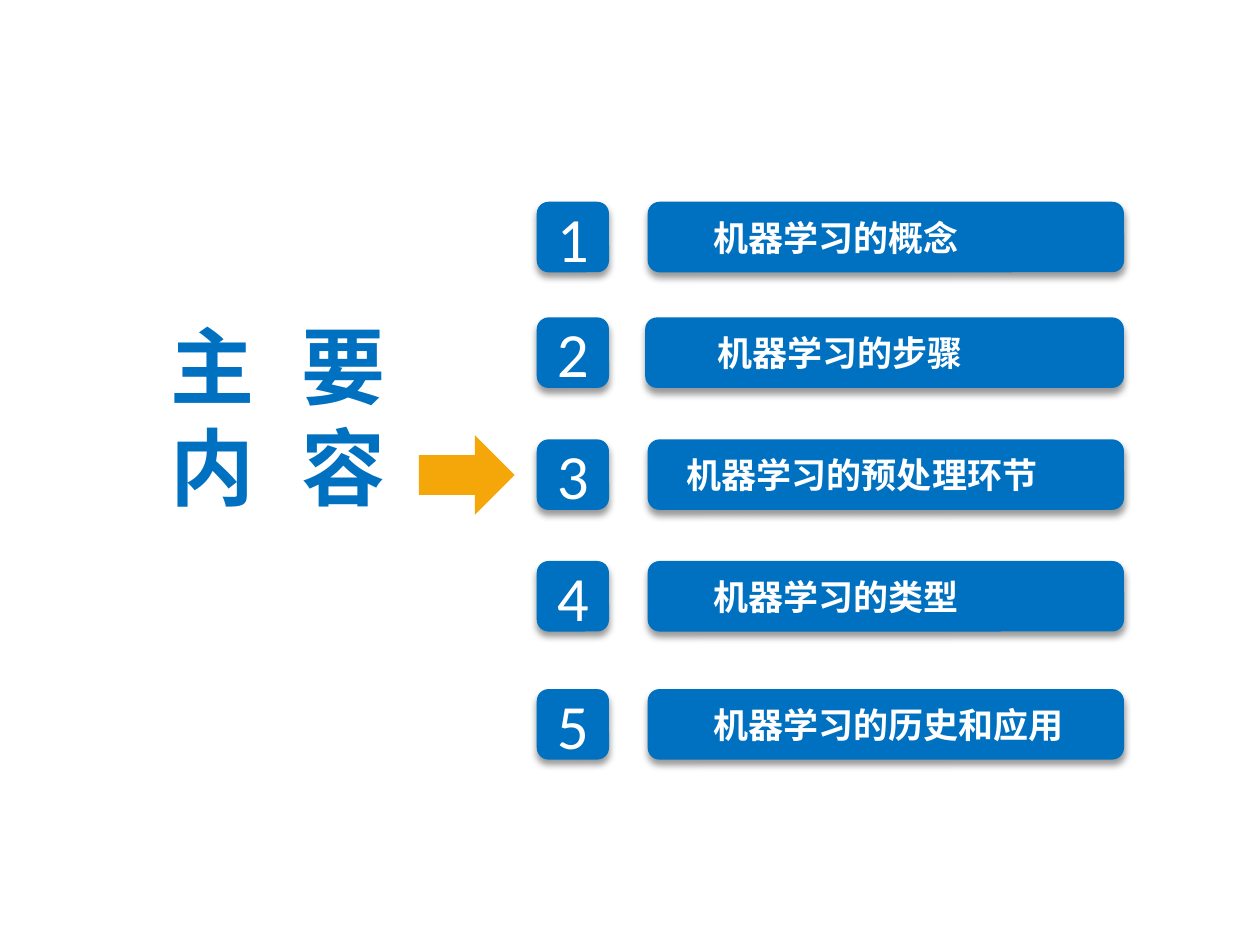
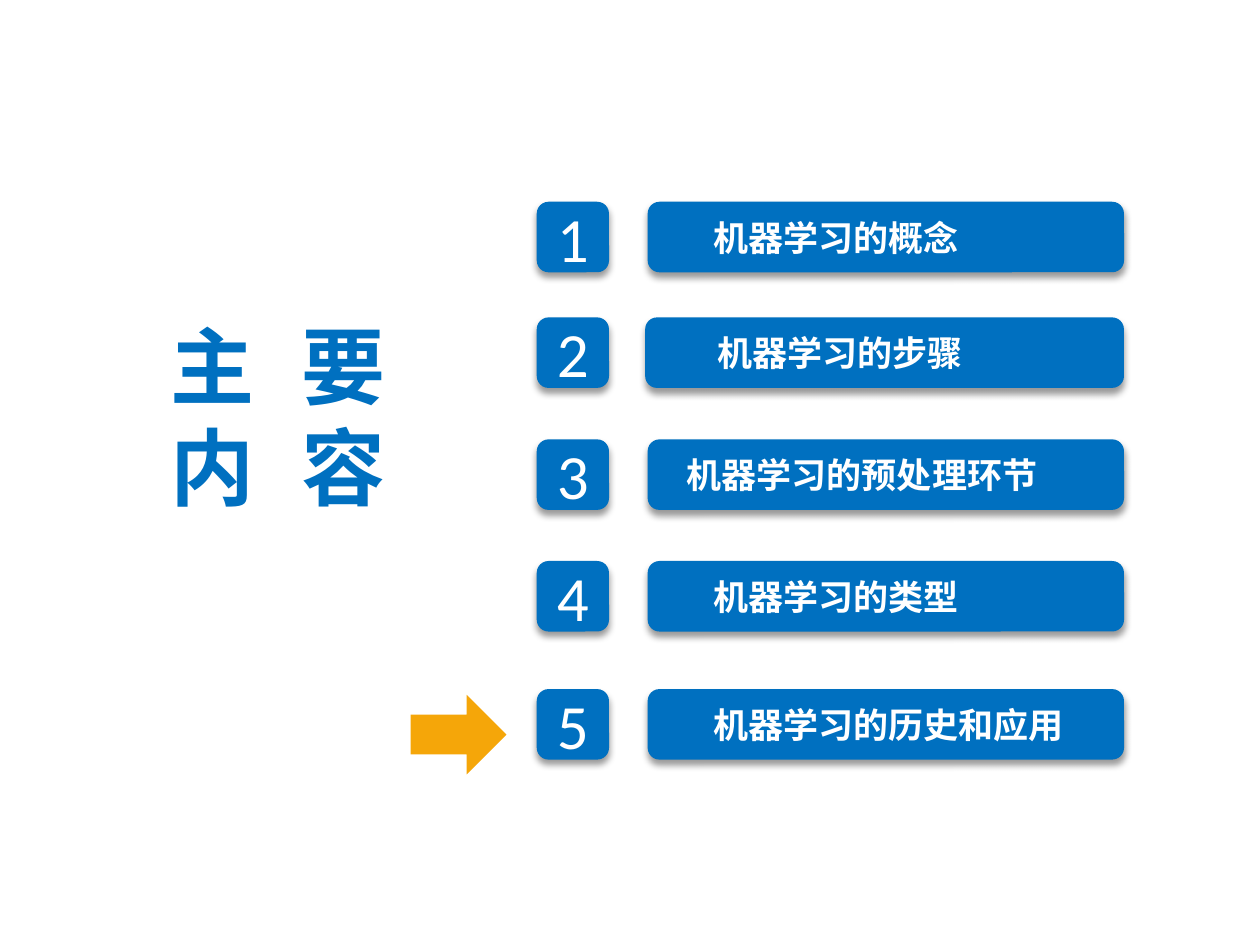
from collections import namedtuple

from lxml.etree import SubElement
from pptx import Presentation
from pptx.dml.color import RGBColor
from pptx.enum.shapes import MSO_SHAPE
from pptx.enum.text import MSO_ANCHOR, MSO_AUTO_SIZE, PP_ALIGN
from pptx.oxml.ns import qn
from pptx.util import Pt

BLUE, AMBER, WHITE, BLACK = "0070C0", "F5A609", "FFFFFF", "000000"
CJK = "Noto Sans CJK SC"
TITLE = {"size": Pt(48), "name": CJK, "bold": True}
LABEL = {"size": Pt(20), "name": CJK, "bold": True}
NUMBER = {"size": Pt(36), "name": "Calibri", "bold": False}
INSETS = {"margin_left": Pt(9.4), "margin_right": Pt(9.4),
          "margin_top": Pt(5), "margin_bottom": Pt(5)}

Box = namedtuple("Box", "x y w h")
Topic = namedtuple("Topic", "text y bar_x label_x label_w")

TITLE_BOX = Box(23.8, 175, 270, 126)
LIST_BOX = Box(306.7, 115.3, 335.6, 319)
ROW_H, NUMBER_W = 40.3, 41.3
TOPICS = [
    Topic("机器学习的概念", 0, 63.4, 91.5, 232.6),
    Topic("机器学习的步骤", 66.1, 62, 93.6, 267.8),
    Topic("机器学习的预处理环节", 135.8, 63.4, 76.3, 260),
    Topic("机器学习的类型", 205.3, 63.4, 91.5, 232.6),
    Topic("机器学习的历史和应用", 278.5, 63.4, 91.5, 232.6),
]
ARROWS = [Box(244.1, 244.1, 45.4, 54.7), Box(239.4, 392.4, 45.4, 54.7)]


def rgb(value):
    return RGBColor.from_string(value)


def pts(box):
    return [Pt(v) for v in box]


def set_all(target, values):
    for key, value in values.items():
        setattr(target, key, value)


def add_run(p, text, style, color, spacing=0):
    r = p.add_run()
    r.text = text
    set_all(r.font, style)
    r.font.color.rgb = rgb(color)
    rPr = r.font._element
    if spacing:
        rPr.set("spc", str(round(spacing * 100)))
    SubElement(rPr, qn("a:ea"), typeface=style["name"])


def add_text(shapes, box):
    tf = shapes.add_textbox(*pts(box)).text_frame
    set_all(tf, {**INSETS, "word_wrap": True,
                 "auto_size": MSO_AUTO_SIZE.SHAPE_TO_FIT_TEXT})
    return tf


def add_solid(shapes, kind, box, color):
    sp = shapes.add_shape(kind, *pts(box))
    sp.shadow.inherit = False
    sp.fill.solid()
    sp.fill.fore_color.rgb = rgb(color)
    sp.line.fill.background()
    return sp


def add_panel(shapes, box):
    sp = add_solid(shapes, MSO_SHAPE.ROUNDED_RECTANGLE, box, BLUE)
    effects = sp._element.spPr.find(qn("a:effectLst"))
    shadow = SubElement(effects, qn("a:outerShdw"), blurRad=str(Pt(4)),
                        dist=str(Pt(3)), dir="5400000", algn="t", rotWithShape="0")
    color = SubElement(shadow, qn("a:srgbClr"), val=BLACK)
    SubElement(color, qn("a:alpha"), val="40000")
    return sp


def add_title(s, box):
    tf = add_text(s.shapes, box)
    for i, (first, second) in enumerate(("主要", "内容")):
        p = tf.add_paragraph() if i else tf.paragraphs[0]
        p.alignment = PP_ALIGN.CENTER
        for text, spacing in ((first, 2), (" ", 14), (second, 2)):
            add_run(p, text, TITLE, BLUE, spacing)


def add_topic(s, number, topic, box):
    tf = add_panel(s.shapes, box._replace(w=NUMBER_W)).text_frame
    set_all(tf, {**INSETS, "word_wrap": True, "vertical_anchor": MSO_ANCHOR.MIDDLE})
    p = tf.paragraphs[0]
    p.alignment = PP_ALIGN.CENTER
    add_run(p, str(number), NUMBER, WHITE)

    group = s.shapes.add_group_shape()
    add_panel(group.shapes, box._replace(x=box.x + topic.bar_x, w=box.w - topic.bar_x))
    label = Box(box.x + topic.label_x, box.y + 3.3, topic.label_w, 33.8)
    add_run(add_text(group.shapes, label).paragraphs[0], topic.text, LABEL, WHITE)


def add_topics(s, box):
    for number, topic in enumerate(TOPICS, 1):
        add_topic(s, number, topic, Box(box.x, box.y + topic.y, box.w, ROW_H))


def add_agenda(prs, arrow_box):
    s = prs.slides.add_slide(prs.slide_layouts[6])
    add_title(s, TITLE_BOX)
    add_topics(s, LIST_BOX)
    add_solid(s.shapes, MSO_SHAPE.DOWN_ARROW, arrow_box, AMBER).rotation = 270


def main():
    prs = Presentation()
    set_all(prs, {"slide_width": Pt(720), "slide_height": Pt(540)})
    for arrow_box in ARROWS:
        add_agenda(prs, arrow_box)
    prs.save("out.pptx")


if __name__ == "__main__":
    main()
